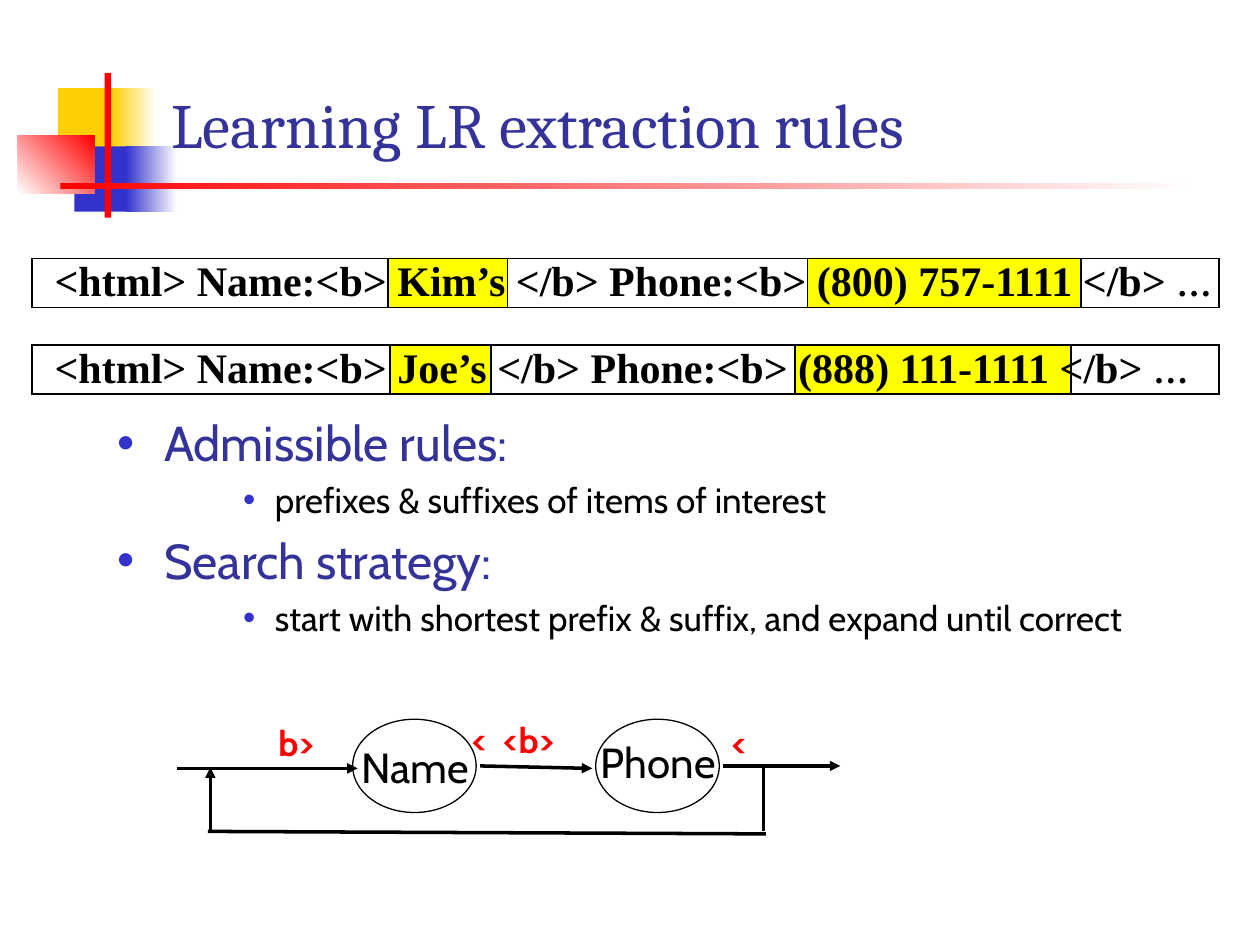
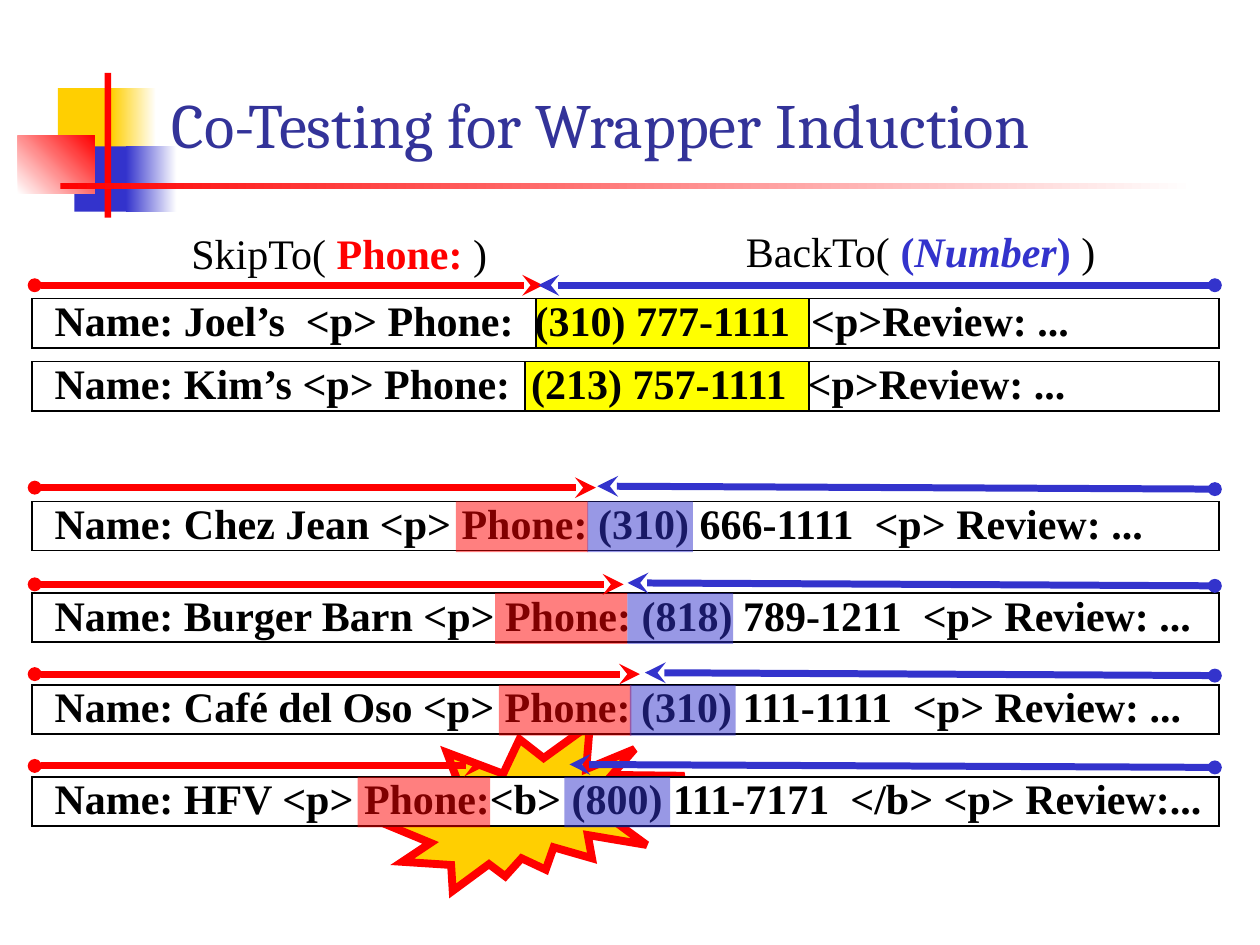
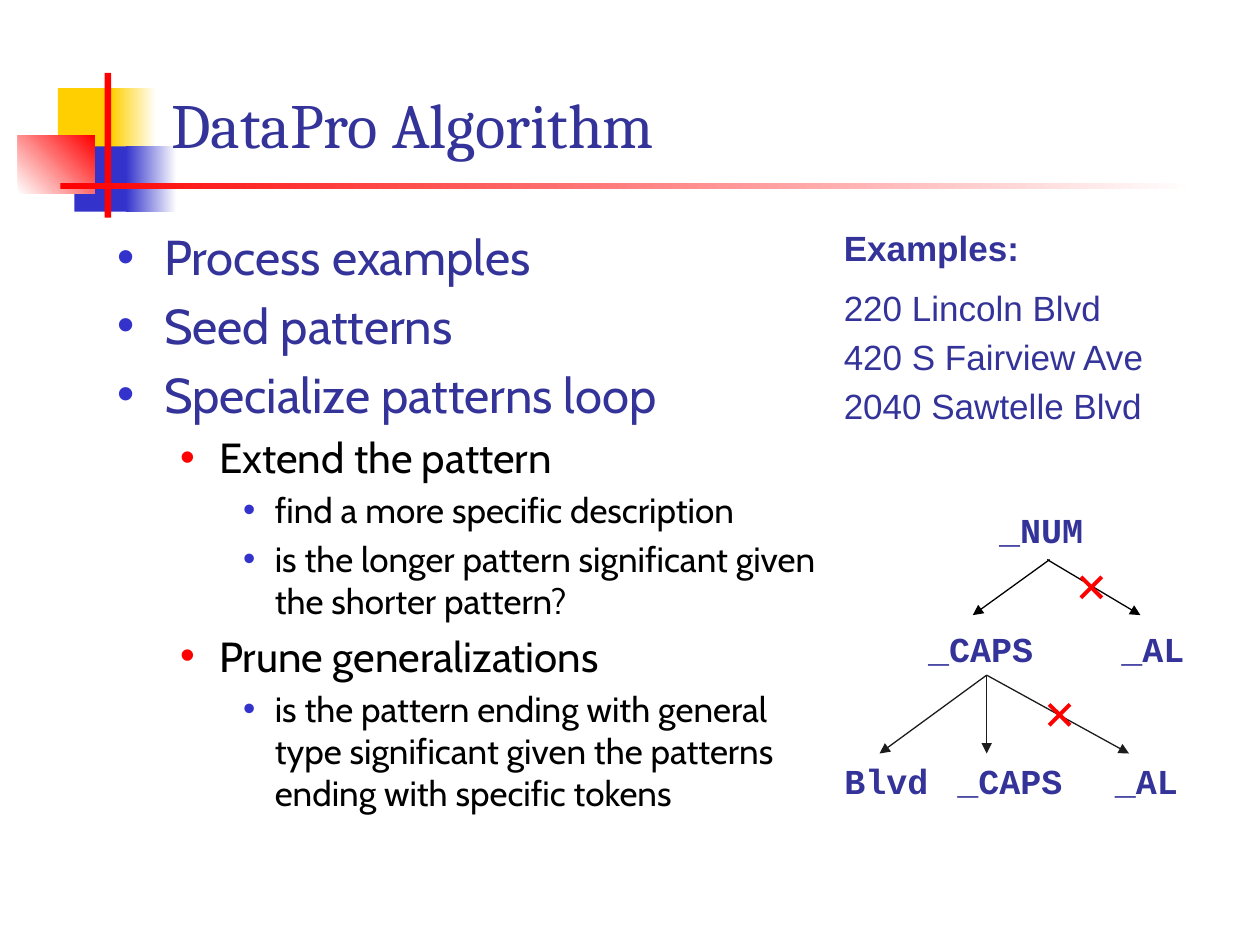
from lxml import etree
from pptx import Presentation
from pptx import util as u
from pptx.dml import color
from pptx.enum import shapes, text
from pptx.oxml import ns

# Shared colours
BLACK, WHITE, YELLOW = "000000", "FFFFFF", "FFFF00"
RED, BLUE, GOLD, NAVY, SOOT = "FF0000", "3333CC", "FFCF01", "333399", "1C1C1C"

# Band beside the title: left, top, width, height, colours, angle
BAND = [
    (1.17, 1.78, 1.22, 1.32, [GOLD], 0),
    (2.24, 1.78, 0.91, 1.32, [GOLD, WHITE], 0),
    (1.5, 2.95, 1.17, 1.32, [BLUE], 0),
    (2.54, 2.95, 1.02, 1.32, [BLUE, WHITE], 0),
    (0.36, 2.74, 1.55, 1.17, [WHITE, RED], 45),
    (2.11, 1.47, 0.13, 2.92, [RED], 0),
    (1.22, 3.68, 22.86, 0.13, [RED, WHITE], 0),
]

# Outline levels: left margin, hanging indent, size, text colour, bullet colour
LEVELS = [
    (0.95, 0.95, 28, NAVY, BLUE),
    (2.06, 0.79, 24, BLACK, RED),
    (3.18, 0.64, 20, BLACK, BLUE),
]

ROW_LEFT, ROW_WIDTH, ROW_HEIGHT = 0.64, 23.93, 0.99


def rgb(colour):
    return color.RGBColor.from_string(colour)


def add_xml(parent, tag, **attributes):
    return etree.SubElement(parent, ns.qn(tag), **attributes)


def write(paragraph, words, size=24, font="Times New Roman", colour=BLACK,
          bold=False, italic=False):
    run = paragraph.add_run()
    run.text = words
    run.font.size, run.font.name = u.Pt(size), font
    run.font.bold, run.font.italic = bold, italic
    run.font.color.rgb = rgb(colour)


class Deck:
    def __init__(self):
        self.file = Presentation()
        self.file.slide_width, self.file.slide_height = u.Cm(25.4), u.Cm(19.05)
        self.slide = None

    def start(self, heading):
        """Open a slide with the band and its title."""
        self.slide = self.file.slides.add_slide(self.file.slide_layouts[5])
        for left, top, width, height, colours, angle in BAND:
            self.shape(left, top, width, height, colours, angle=angle)
        title = self.slide.shapes.title
        title.left, title.top = u.Cm(3.2), u.Cm(1.27)
        title.width, title.height = u.Cm(21.64), u.Cm(2.11)
        frame = title.text_frame
        frame.auto_size = text.MSO_AUTO_SIZE.NONE
        frame.vertical_anchor = text.MSO_ANCHOR.BOTTOM
        frame.paragraphs[0].alignment = text.PP_ALIGN.LEFT
        write(frame.paragraphs[0], heading, size=36, font="Cambria", colour=NAVY)
        title.element.getparent().append(title.element)

    def shape(self, left, top, width, height, colours=(), line=None, weight=1,
              kind="RECTANGLE", angle=0, alpha=None):
        """Preset shape with no fill, a plain fill or a two-colour gradient."""
        item = self.slide.shapes.add_shape(
            shapes.MSO_SHAPE[kind], u.Cm(left), u.Cm(top), u.Cm(width), u.Cm(height))
        item.shadow.inherit = False
        if len(colours) == 2:
            item.fill.gradient()
            item.fill.gradient_angle = angle
            for stop, colour in zip(item.fill.gradient_stops, colours):
                stop.color.rgb = rgb(colour)
        elif colours:
            item.fill.solid()
            item.fill.fore_color.rgb = rgb(colours[0])
        else:
            item.fill.background()
        if alpha:
            solid = item.element.spPr.find(ns.qn("a:solidFill"))
            add_xml(solid[0], "a:alpha", val=str(alpha * 1000))
        if line:
            item.line.color.rgb = rgb(line)
            item.line.width = u.Pt(weight)
            add_xml(item.element.spPr.find(ns.qn("a:ln")), "a:miter", lim="800000")
        else:
            item.line.fill.background()

    def line(self, x1, y1, x2, y2, colour=BLACK, weight=2.0, head=None, tail=None):
        item = self.slide.shapes.add_connector(
            shapes.MSO_CONNECTOR.STRAIGHT, u.Cm(x1), u.Cm(y1), u.Cm(x2), u.Cm(y2))
        item.line.color.rgb = rgb(colour)
        item.line.width = u.Pt(weight)
        properties = item.element.spPr
        for tag, end in (("a:headEnd", head), ("a:tailEnd", tail)):
            if end:
                size = "sm" if end == "oval" else "med"
                add_xml(properties.find(ns.qn("a:ln")), tag, type=end, w=size, len=size)
        add_xml(properties, "a:effectLst")

    def box(self, left, top, width, height, wrap=True):
        frame = self.slide.shapes.add_textbox(
            u.Cm(left), u.Cm(top), u.Cm(width), u.Cm(height)).text_frame
        frame.word_wrap = wrap
        return frame

    def label(self, centre, top, *runs, width=3, **style):
        """One line centred on a point; each run is (words, its own format)."""
        frame = self.box(centre - width / 2, top, width, 1.1, wrap=False)
        frame.paragraphs[0].alignment = text.PP_ALIGN.CENTER
        for words, own in runs:
            write(frame.paragraphs[0], words, **{**style, **own})

    def outline(self, top, width, items):
        frame = self.box(2.11, top, width, 17.04 - top)
        for number, (level, words) in enumerate(items):
            margin, hang, size, colour, dot = LEVELS[level]
            paragraph = frame.add_paragraph() if number else frame.paragraphs[0]
            paragraph.level = level
            paragraph.space_before = u.Pt(size * 0.2)
            write(paragraph, words, size=size, font="Cabin", colour=colour)
            layout = paragraph._p.get_or_add_pPr()
            layout.set("marL", str(u.Cm(margin)))
            layout.set("indent", str(-u.Cm(hang)))
            add_xml(add_xml(layout, "a:buClr"), "a:srgbClr", val=dot)
            add_xml(layout, "a:buFont", typeface="Arial")
            add_xml(layout, "a:buChar", char="•")

    def row(self, top, words, marks=(), ending=""):
        """Framed line of page source with yellow marks (left, width) behind it."""
        self.shape(ROW_LEFT, top, ROW_WIDTH, ROW_HEIGHT, [WHITE], BLACK)
        for left, width in marks:
            self.shape(left, top, width, ROW_HEIGHT, [YELLOW], BLACK)
        paragraph = self.box(0.85, top - 0.21, 24.5, 1.27).paragraphs[0]
        write(paragraph, words, bold=True)
        if ending:
            write(paragraph, ending, size=20, bold=True)

    def scan(self, y, skip_end, back_end, tilt=0.03):
        """Forward arrow in red and backward arrow in blue above a row."""
        self.line(0.7, y, skip_end, y, RED, 4, head="oval", tail="stealth")
        self.line(back_end, y - tilt, 24.49, y + tilt, BLUE, 4,
                  head="stealth", tail="oval")

    def cross(self, x, y, half=0.21):
        for rise in (half, -half):
            self.line(x - half, y - rise, x + half, y + rise, RED, 2.25)


def extraction_rules(deck):
    deck.start("Learning LR extraction rules")
    deck.outline(8.2, 22.76, [
        (0, "Admissible rules:"),
        (2, "prefixes & suffixes of items of interest"),
        (0, "Search strategy:"),
        (2, "start with shortest prefix & suffix, and expand until correct"),
    ])
    deck.row(5.21, "<html> Name:<b> Kim’s </b> Phone:<b> (800) 757-1111 </b> ",
             [(7.82, 2.41), (16.28, 5.51)], ending="…")
    deck.row(6.96, "<html> Name:<b> Joe’s </b> Phone:<b> (888) 111-1111 </b> ",
             [(7.87, 2.03), (16.03, 5.56)], ending="…")

    # States
    for left, centre, top, state in [(7.11, 8.37, 14.83, "Name"),
                                     (12.01, 13.27, 14.73, "Phone")]:
        deck.shape(left, 14.5, 2.49, 1.88, line=BLACK, weight=0.75, kind="OVAL")
        deck.label(centre, top, (state, {}), font="Cabin")

    # Transitions and the loop back
    for ends in [(3.56, 15.49, 7.21, 15.49), (14.58, 15.44, 16.94, 15.44),
                 (9.68, 15.44, 11.94, 15.49), (4.24, 16.79, 4.24, 15.47)]:
        deck.line(*ends, tail="triangle")
    deck.line(15.39, 15.44, 15.39, 16.76)
    deck.line(15.44, 16.81, 4.19, 16.76)
    for centre, top, token in [(5.97, 14.43, "b>"), (10.34, 14.35, "<  <b>"),
                               (14.9, 14.43, "<")]:
        deck.label(centre, top, (token, {}), size=20, font="Cabin",
                   colour=RED, bold=True)


def co_testing(deck):
    deck.start("Co-Testing for Wrapper Induction")
    deck.shape(7.75, 14.61, 6.05, 3.35, [GOLD], RED, 4.5, kind="EXPLOSION2")

    # Labelled examples with the two rules
    deck.row(6.02, "Name: Joel’s  <p> Phone:  (310) 777-1111  <p>Review: ...",
             [(10.8, 5.51)])
    deck.row(7.29, "Name: Kim’s <p> Phone:  (213) 757-1111  <p>Review: ...",
             [(10.59, 5.72)])
    deck.scan(5.75, 10.95, 10.85, tilt=0)
    deck.label(6.84, 4.47, ("SkipTo( ", {}),
               ("Phone:", {"colour": RED, "bold": True}), (" )", {}), width=9)
    number = {"colour": BLUE, "bold": True}
    deck.label(18.56, 4.42, ("BackTo( ", {}), ("(", number),
               ("Number", {**number, "italic": True}), (")", number), (" )", {}),
               width=9)

    # Unlabelled examples: words, arrow gap, arrow ends, mark positions
    tests = [
        ("Name: Chez Jean <p> Phone: (310) 666-1111  <p> Review: ...",
         0.28, 12.01, 12.04, 9.19, 11.84),
        ("Name: Burger Barn <p> Phone: (818) 789-1211  <p> Review: ...",
         0.18, 12.57, 12.65, 9.98, 12.65),
        ("Name: Café del Oso <p> Phone: (310) 111-1111  <p> Review: ...",
         0.22, 12.9, 13, 10.06, 12.7),
        ("Name: HFV <p> Phone:<b> (800) 111-7171  </b> <p> Review:...",
         0.22, 9.78, 11.48, 7.21, 11.38),
    ]
    for place, (words, gap, skip_end, back_end, phone, area) in enumerate(tests):
        top = 10.11 + 1.85 * place
        deck.row(top, words)
        deck.scan(top - gap, skip_end, back_end)
        deck.shape(phone, top, 2.67, 1.02, [RED], alpha=50)
        deck.shape(area, top, 2.13, 1.02, [BLUE], alpha=50)


def datapro(deck):
    deck.start("DataPro Algorithm")
    deck.outline(4.45, 14.66, [
        (0, "Process examples"),
        (0, "Seed patterns"),
        (0, "Specialize patterns loop"),
        (1, "Extend the pattern"),
        (2, "find a more specific description"),
        (2, "is the longer pattern significant given the shorter pattern?"),
        (1, "Prune generalizations"),
        (2, "is the pattern ending with general type significant given "
            "the patterns ending with specific tokens"),
    ])

    # Examples
    examples = deck.box(16.76, 4.45, 8.08, 4.4)
    for number, (words, gap) in enumerate([
            ("Examples:", 10), ("220 Lincoln Blvd", 10),
            ("420 S Fairview Ave", 4), ("2040 Sawtelle Blvd", 4)]):
        paragraph = examples.add_paragraph() if number else examples.paragraphs[0]
        paragraph.space_before = u.Pt(gap)
        write(paragraph, words, size=20, font="Arial", colour=NAVY,
              bold=number == 0)

    # Pattern tree
    for centre, top, token in [
            (20.99, 10.13, "_NUM"), (23.24, 12.52, "_AL"), (19.77, 12.52, "_CAPS"),
            (23.11, 15.19, "_AL"), (20.36, 15.19, "_CAPS"), (17.87, 15.19, "Blvd")]:
        deck.label(centre, top, (token, {}), size=20, font="Courier New",
                   colour=NAVY, bold=True)
    for start, end in [(21.11, 22.99), (21.16, 19.61)]:
        deck.line(start, 11.28, end, 12.4, weight=0.75, tail="triangle")
    for end in (22.76, 19.89, 17.73):
        deck.line(19.89, 13.61, end, 15.19, SOOT, 0.75, tail="triangle")
    deck.cross(22, 11.84)
    deck.cross(21.36, 14.41)


def main():
    deck = Deck()
    extraction_rules(deck)
    co_testing(deck)
    datapro(deck)
    deck.file.save("out.pptx")


if __name__ == "__main__":
    main()
